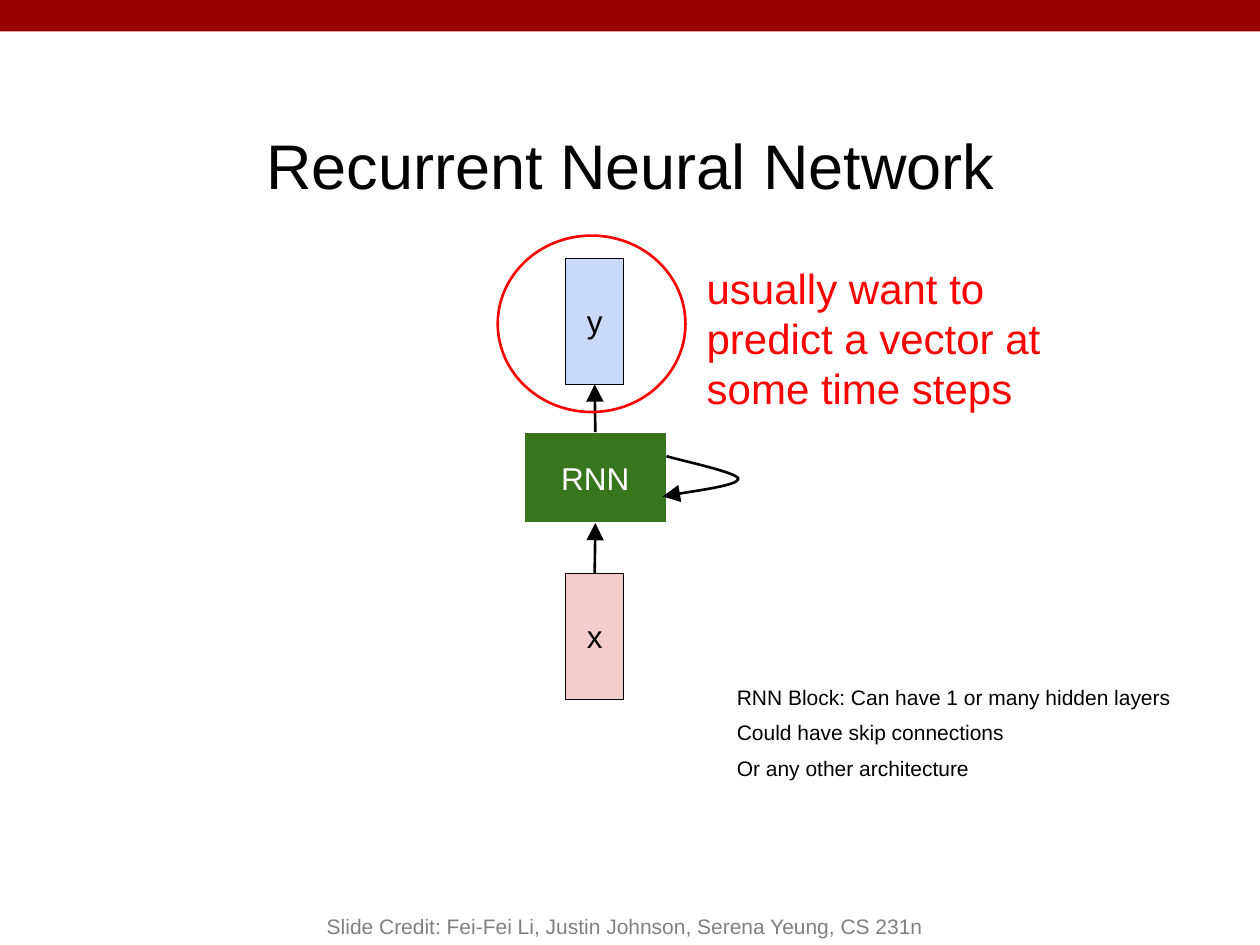
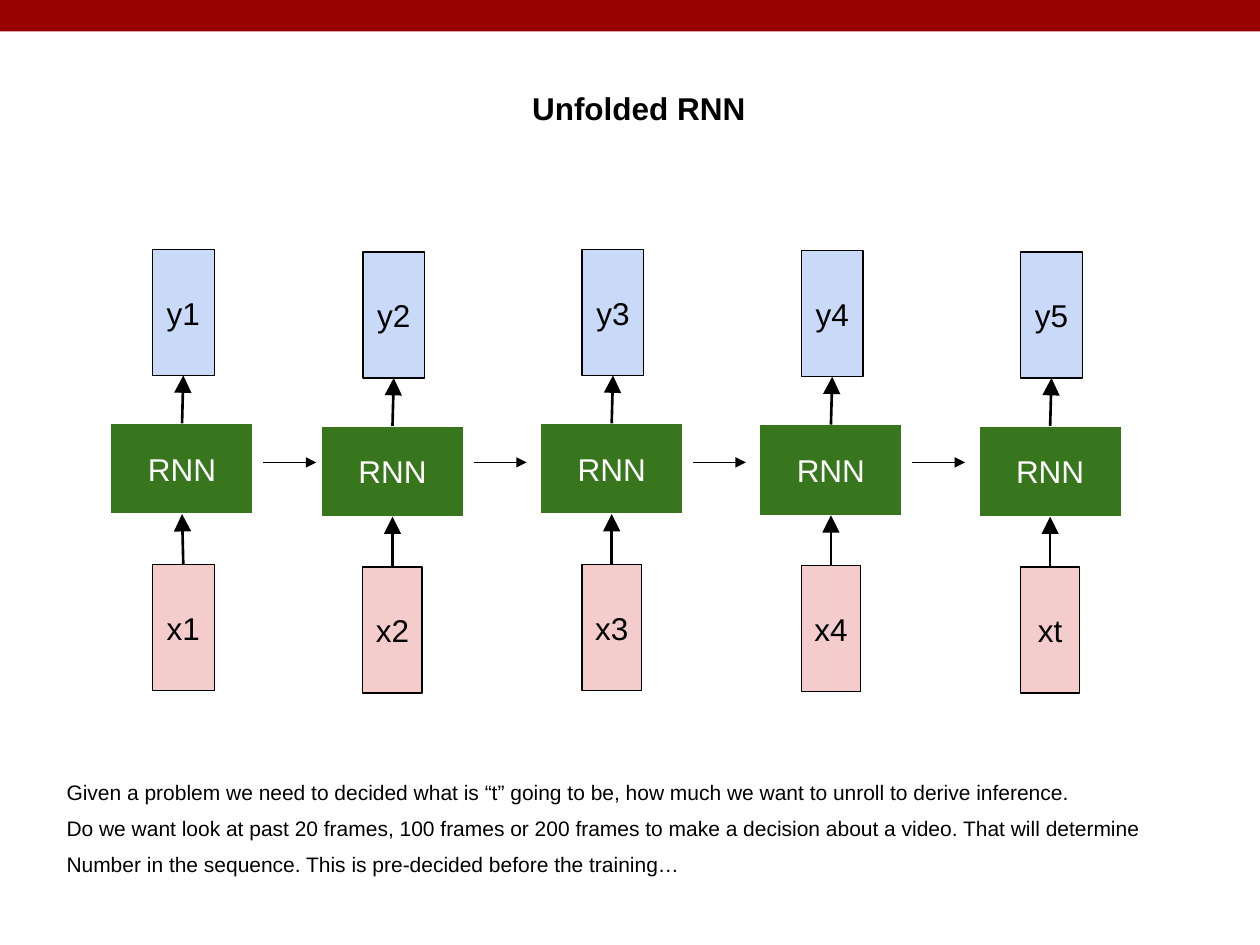
from collections import namedtuple

from lxml import etree
from pptx import Presentation
from pptx.dml.color import RGBColor
from pptx.enum.shapes import MSO_CONNECTOR, MSO_SHAPE
from pptx.enum.text import MSO_ANCHOR, MSO_AUTO_SIZE, PP_ALIGN
from pptx.oxml.ns import qn
from pptx.util import Inches, Pt

RECTANGLE, OVAL = MSO_SHAPE.RECTANGLE, MSO_SHAPE.OVAL
STRAIGHT = MSO_CONNECTOR.STRAIGHT
TOP, MIDDLE, BOTTOM = MSO_ANCHOR.TOP, MSO_ANCHOR.MIDDLE, MSO_ANCHOR.BOTTOM
LEFT, CENTER = PP_ALIGN.LEFT, PP_ALIGN.CENTER
NO_AUTOFIT = MSO_AUTO_SIZE.NONE

# The slide is a grid of 100 columns and 75 rows of square units.
COLUMNS, ROWS = 100, 75
UNIT = Inches(0.1)
TITLE_ONLY = 5
FONT = "Arial"

BLACK, WHITE, GRAY, RED = "000000", "FFFFFF", "808080", "FF0000"
BAND, INPUT, NETWORK, OUTPUT = "990000", "F4CCCC", "38761D", "C9DAF8"

# Rows of a cell, counted from its top: output, network and input.
NETWORK_TOP, INPUT_TOP = 13.8, 25
VECTOR_LEFT, VECTOR_HEIGHT = 3.3, 10
NETWORK_WIDTH, NETWORK_HEIGHT = 11.3, 7.2

Box = namedtuple("Box", "left top width height")
Cell = namedtuple("Cell", "left top input output input_width output_width")


def grid(*lengths):
    return [round(length * UNIT) for length in lengths]


def color(hex_string):
    return RGBColor.from_string(hex_string)


def write(text_frame, lines, size, hex_color=BLACK, align=LEFT, anchor=TOP,
          inset=1, bold=False, space_before=0):
    """Fill a text frame with one paragraph per line; inset is above and below."""
    text_frame.text = "\n".join(lines)
    text_frame.vertical_anchor = anchor
    text_frame.margin_left, text_frame.margin_right = grid(1, 1)
    text_frame.margin_top, text_frame.margin_bottom = grid(inset, inset)
    for index, paragraph in enumerate(text_frame.paragraphs):
        paragraph.alignment = align
        paragraph.space_before = Pt(space_before if index else 0)
        for run in paragraph.runs:
            run.font.name = FONT
            run.font.size = Pt(size)
            run.font.bold = bold
            run.font.color.rgb = color(hex_color)


def add_text(slide, box, lines, size, wrap=True, **style):
    text_frame = slide.shapes.add_textbox(*grid(*box)).text_frame
    text_frame.word_wrap = wrap
    write(text_frame, lines, size, **style)


def add_notes_block(slide, box, lines):
    add_text(slide, box, lines, 12, wrap=False, inset=0.5, space_before=6)


def add_preset(shapes, preset, box, fill=None, line=None, width=0.75):
    shape = shapes.add_shape(preset, *grid(*box))
    shape.shadow.inherit = False
    if fill:
        shape.fill.solid()
        shape.fill.fore_color.rgb = color(fill)
    else:
        shape.fill.background()
    if line:
        shape.line.color.rgb = color(line)
        shape.line.width = Pt(width)
    else:
        shape.line.fill.background()
    return shape


def add_block(shapes, box, label, fill, line=BLACK, label_color=BLACK):
    block = add_preset(shapes, RECTANGLE, box, fill, line)
    block.text_frame.word_wrap = False
    write(block.text_frame, [label], 18, label_color, CENTER, MIDDLE)


def style_arrow(shape, width, head):
    """Draw a black line that ends in a triangle of size "med" or "lg"."""
    shape.line.color.rgb = color(BLACK)
    shape.line.width = Pt(width)
    outline = shape.element.spPr.find(qn("a:ln"))
    etree.SubElement(outline, qn("a:tailEnd"), type="triangle", w=head, len=head)


def add_arrow(shapes, start, end, width=1.5, head="lg"):
    arrow = shapes.add_connector(STRAIGHT, *grid(*start, *end))
    style_arrow(arrow, width, head)
    etree.SubElement(arrow.element.spPr, qn("a:effectLst"))


def add_loop_arrow(shapes, left, top):
    """Draw two cubic curves that leave the network and come back to it."""
    offsets = [(0.3, 0), (1.2, 0.3), (6, 1.3), (6, 1.8),
               (6, 2.3), (1, 3), (0, 3.2)]
    start, *points = [grid(left + x, top + y) for x, y in offsets]
    builder = shapes.build_freeform(*start)
    builder.add_line_segments(points, close=False)
    loop = builder.convert_to_shape()
    loop.fill.background()
    loop.shadow.inherit = False
    style_arrow(loop, 1.5, "lg")

    outline = loop.element.spPr.find(".//" + qn("a:path"))
    segments = outline.findall(qn("a:lnTo"))
    for first in range(0, len(segments), 3):
        curve = etree.SubElement(outline, qn("a:cubicBezTo"))
        for segment in segments[first:first + 3]:
            curve.append(segment[0])
            outline.remove(segment)


def add_cell(slide, cell):
    """Stack output, network and input in one group, and return its shapes."""
    shapes = slide.shapes.add_group_shape().shapes
    vector_left = cell.left + VECTOR_LEFT
    network_top = cell.top + NETWORK_TOP
    input_top = cell.top + INPUT_TOP
    network_middle = cell.left + NETWORK_WIDTH / 2

    add_block(shapes, Box(vector_left, input_top, cell.input_width, VECTOR_HEIGHT),
              cell.input, INPUT)
    add_block(shapes, Box(cell.left, network_top, NETWORK_WIDTH, NETWORK_HEIGHT),
              "RNN", NETWORK, WHITE, WHITE)
    add_block(shapes, Box(vector_left, cell.top, cell.output_width, VECTOR_HEIGHT),
              cell.output, OUTPUT)
    add_arrow(shapes, (network_middle, network_top),
              (vector_left + cell.output_width / 2, cell.top + VECTOR_HEIGHT))
    add_arrow(shapes, (vector_left + cell.input_width / 2, input_top),
              (network_middle, network_top + NETWORK_HEIGHT))
    return shapes


def add_slide(presentation, title, box, **style):
    slide = presentation.slides.add_slide(presentation.slide_layouts[TITLE_ONLY])
    placeholder = slide.shapes.title
    placeholder.left, placeholder.top, placeholder.width, placeholder.height = grid(*box)
    placeholder.text_frame.auto_size = NO_AUTOFIT
    write(placeholder.text_frame, [title], align=CENTER, **style)
    return slide


def move_band_to_master(presentation, slide):
    """Put the top band behind every slide by way of the master."""
    band = add_preset(slide.shapes, RECTANGLE, Box(0, 0, COLUMNS, 2.5), BAND)
    band.element.nvSpPr.cNvPr.set("id", "20")
    presentation.slide_master.shapes.element.insert(2, band.element)


def build_recurrent_slide(presentation):
    slide = add_slide(presentation, "Recurrent Neural Network",
                      Box(10.2, 9, 79.7, 4.8), size=36)
    cell = Cell(41.6, 20.5, "x", "y", 4.6, 4.6)
    cell_shapes = add_cell(slide, cell)
    add_loop_arrow(cell_shapes, cell.left + NETWORK_WIDTH - 0.3,
                   cell.top + NETWORK_TOP + 1.9)
    add_preset(slide.shapes, OVAL, Box(39.5, 18.7, 14.9, 14), line=RED, width=1.5)
    add_text(slide, Box(55.1, 19.8, 31.2, 5.2),
             ["usually want to predict a vector at some time steps"], 24,
             hex_color=RED)
    add_text(slide, Box(20, ROWS - 5, 59.2, 5),
             ["Slide Credit: Fei-Fei Li, Justin Johnson, Serena Yeung, CS 231n"], 12,
             hex_color=GRAY, align=CENTER, anchor=BOTTOM, inset=0.5)
    add_notes_block(slide, Box(57.5, 53.8, 36.7, 9.1), [
        "RNN Block: Can have 1 or many hidden layers",
        "Could have skip connections",
        "Or any other architecture",
    ])
    return slide


def build_unfolded_slide(presentation):
    slide = add_slide(presentation, "Unfolded RNN", Box(39.2, 6.6, 23, 4),
                      size=18, bold=True, inset=0.5)
    pitch, second_left = 17.4, 25.5
    cells = [Cell(8.8, 19.8, "x1", "y1", 4.9, 4.9)]
    steps = [("x2", "y2", 20), ("x3", "y3", 19.8), ("x4", "y4", 19.9), ("xt", "y5", 20)]
    for index, (input_label, output_label, top) in enumerate(steps):
        cells.append(Cell(second_left + index * pitch, top,
                          input_label, output_label, 4.7, 4.9))
    for cell in cells:
        add_cell(slide, cell)

    arrow_row, arrow_gap, arrow_length = 36.7, 0.8, 4.2
    for cell in cells[:-1]:
        start = cell.left + NETWORK_WIDTH + arrow_gap
        add_arrow(slide.shapes, (start, arrow_row),
                  (start + arrow_length, arrow_row), width=1, head="med")
    add_notes_block(slide, Box(4.3, 61.4, 88.4, 9.1), [
        "Given a problem we need to decided what is “t” going to be, "
        "how much we want to unroll to derive inference.",
        "Do we want look at past 20 frames, 100 frames or 200 frames "
        "to make a decision about a video. That will determine",
        "Number in the sequence. This is pre-decided before the training…",
    ])


def main():
    presentation = Presentation()
    presentation.slide_width, presentation.slide_height = grid(COLUMNS, ROWS)
    first_slide = build_recurrent_slide(presentation)
    move_band_to_master(presentation, first_slide)
    build_unfolded_slide(presentation)
    presentation.save("out.pptx")


if __name__ == "__main__":
    main()
